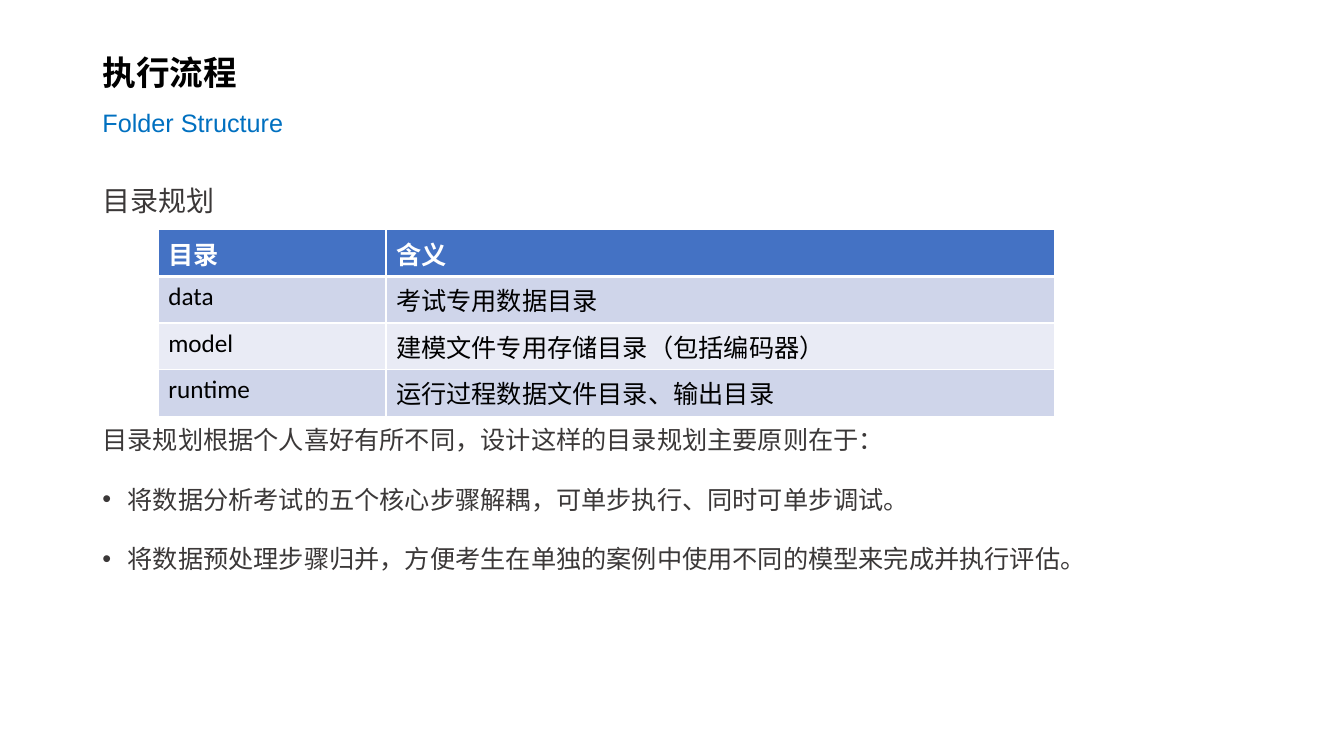
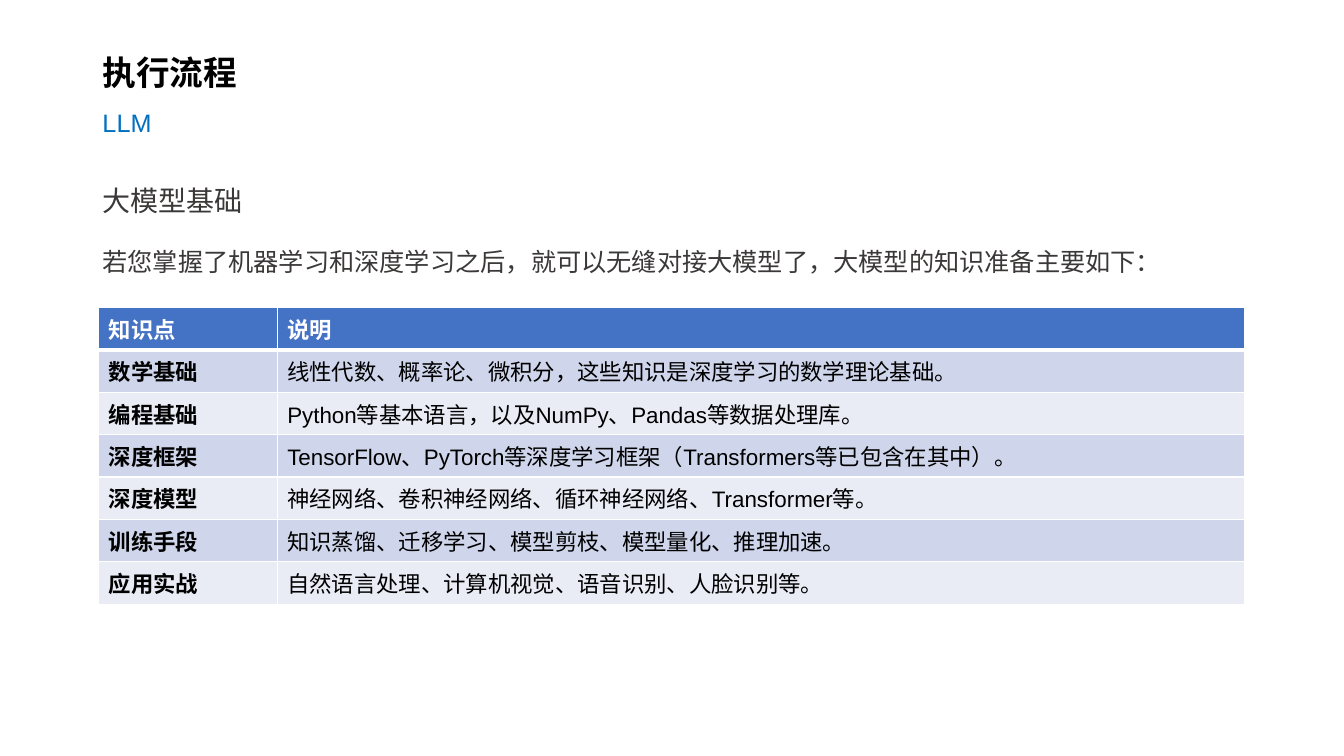
from dataclasses import dataclass

from lxml.etree import SubElement
from pptx import Presentation
from pptx.dml.color import RGBColor
from pptx.enum.text import MSO_ANCHOR as Anchor, MSO_AUTO_SIZE as AutoSize, PP_ALIGN as Align
from pptx.oxml.ns import qn
from pptx.util import Inches, Pt


@dataclass(frozen=True)
class Theme:
    # Colours
    black: str = "000000"
    white: str = "FFFFFF"
    accent: str = "0070C0"
    ink: str = "3B3838"
    header: str = "4472C4"
    bands: tuple = ("CFD5EA", "E9EBF5")
    # Fonts
    east_asian: str = "Noto Sans CJK SC"
    latin: str = "Arial"
    prose: str = "Comic Neue"
    table: str = "Calibri"
    # Type sizes and spacing, in points
    title: int = 24
    heading: int = 20
    text: int = 18
    small: int = 16
    gap: int = 10
    table_gap: int = 137
    leading: float = 1.5
    bullet_indent: float = 0.25


THEME = Theme()

# Grid of 160 columns by 90 rows on a 13.33 by 7.5 inch slide
COLUMNS, ROWS = 160, 90
WIDTH, HEIGHT = Inches(13.33), Inches(7.5)
MARGIN, CONTENT = 11, 138
TITLE_AREA = (MARGIN, 2.5, CONTENT, 15.1)
BODY_AREA = (MARGIN, 19.3, CONTENT, 61.7)
TABLE_ROW = 4.92


def across(columns):
    return round(WIDTH * columns / COLUMNS)


def down(rows):
    return round(HEIGHT * rows / ROWS)


def set_all(target, values):
    for name, value in values.items():
        setattr(target, name, value)


def place(shape, area):
    left, top, width, height = area
    set_all(shape, {"left": across(left), "top": down(top),
                    "width": across(width), "height": down(height)})


def add_span(para, text, size, font, color, bold=False):
    span = para.add_run()
    span.text = text
    set_all(span.font, {"size": Pt(size), "name": font, "bold": bold})
    span.font.color.rgb = RGBColor.from_string(color)
    SubElement(span.font._element, qn("a:ea"), typeface=THEME.east_asian)


def set_bullet(para, bulleted):
    props = para._p.get_or_add_pPr()
    indent = Inches(THEME.bullet_indent) if bulleted else 0
    props.set("marL", str(indent))
    props.set("indent", str(-indent))
    if bulleted:
        SubElement(props, qn("a:buFont"), typeface=THEME.latin)
        SubElement(props, qn("a:buChar"), char="•")
    else:
        SubElement(props, qn("a:buNone"))


def prepare_frame(shape, area, anchor):
    place(shape, area)
    frame = shape.text_frame
    set_all(frame, {"word_wrap": True, "auto_size": AutoSize.NONE, "vertical_anchor": anchor})
    return frame


def add_title(page, title, subtitle):
    para = prepare_frame(page.shapes.title, TITLE_AREA, Anchor.MIDDLE).paragraphs[0]
    set_all(para, {"alignment": Align.LEFT, "line_spacing": THEME.leading})
    add_span(para, title, THEME.title, THEME.east_asian, THEME.black, True)
    para.add_line_break()
    add_span(para, subtitle, THEME.text, THEME.latin, THEME.accent)


def add_body(page, heading, intro, intro_gap=THEME.gap, bullets=()):
    frame = prepare_frame(page.placeholders[1], BODY_AREA, Anchor.TOP)
    lines = [(heading, THEME.heading, THEME.gap, False), (intro, THEME.text, intro_gap, False)]
    lines += [(text, THEME.text, THEME.gap, True) for text in bullets]
    for index, (text, size, gap, bulleted) in enumerate(lines):
        para = frame.add_paragraph() if index else frame.paragraphs[0]
        set_all(para, {"alignment": Align.LEFT, "line_spacing": THEME.leading,
                       "space_before": Pt(gap)})
        set_bullet(para, bulleted)
        add_span(para, text, size, THEME.prose, THEME.ink)


def set_borders(cell, is_header):
    props = cell._tc.get_or_add_tcPr()
    for side in "LRTB":
        weight = 3 if is_header and side == "B" or not is_header and side == "T_header" else 1
        line = SubElement(props, qn(f"a:ln{side}"), w=str(Pt(weight)))
        fill = SubElement(line, qn("a:solidFill"))
        SubElement(fill, qn("a:srgbClr"), val=THEME.white)


def add_table(page, left, top, widths, rows, size, text_font=THEME.table, bold_labels=False):
    shape = page.shapes.add_table(len(rows), len(widths), across(left), down(top),
                                  across(sum(widths)), down(TABLE_ROW * len(rows)))
    table = shape.table
    for column, width in zip(table.columns, widths):
        column.width = across(width)
    for r, texts in enumerate(rows):
        is_header = r == 0
        fill = THEME.header if is_header else THEME.bands[(r - 1) % 2]
        color = THEME.white if is_header else THEME.black
        for c, text in enumerate(texts):
            cell = table.cell(r, c)
            set_borders(cell, is_header)
            cell.fill.solid()
            cell.fill.fore_color.rgb = RGBColor.from_string(fill)
            is_label = c == 0
            font = THEME.table if is_header or is_label else text_font
            bold = is_header or (is_label and bold_labels)
            add_span(cell.text_frame.paragraphs[0], text, size, font, color, bold)


def add_page(deck, subtitle):
    page = deck.slides.add_slide(deck.slide_layouts[1])
    add_title(page, "执行流程", subtitle)
    return page


def build_folder_page(deck):
    page = add_page(deck, "Folder Structure")
    add_body(page, "目录规划", "目录规划根据个人喜好有所不同，设计这样的目录规划主要原则在于：",
             THEME.table_gap,
             ["将数据分析考试的五个核心步骤解耦，可单步执行、同时可单步调试。",
              "将数据预处理步骤归并，方便考生在单独的案例中使用不同的模型来完成并执行评估。"])
    rows = [("目录", "含义"),
            ("data", "考试专用数据目录"),
            ("model", "建模文件专用存储目录（包括编码器）"),
            ("runtime", "运行过程数据文件目录、输出目录")]
    add_table(page, 18.84, 27.36, (27.12, 79.56), rows, THEME.text)


def build_llm_page(deck):
    page = add_page(deck, "LLM")
    add_body(page, "大模型基础",
             "若您掌握了机器学习和深度学习之后，就可以无缝对接大模型了，大模型的知识准备主要如下：")
    rows = [("知识点", "说明"),
            ("数学基础", "线性代数、概率论、微积分，这些知识是深度学习的数学理论基础。"),
            ("编程基础", "Python等基本语言，以及NumPy、Pandas等数据处理库。"),
            ("深度框架", "TensorFlow、PyTorch等深度学习框架（Transformers等已包含在其中）。"),
            ("深度模型", "神经网络、卷积神经网络、循环神经网络、Transformer等。"),
            ("训练手段", "知识蒸馏、迁移学习、模型剪枝、模型量化、推理加速。"),
            ("应用实战", "自然语言处理、计算机视觉、语音识别、人脸识别等。")]
    add_table(page, 11.76, 36.6, (21.24, 115.2), rows, THEME.small, THEME.latin, True)


def main():
    deck = Presentation()
    set_all(deck, {"slide_width": WIDTH, "slide_height": HEIGHT})
    build_folder_page(deck)
    build_llm_page(deck)
    deck.save("out.pptx")


if __name__ == "__main__":
    main()
